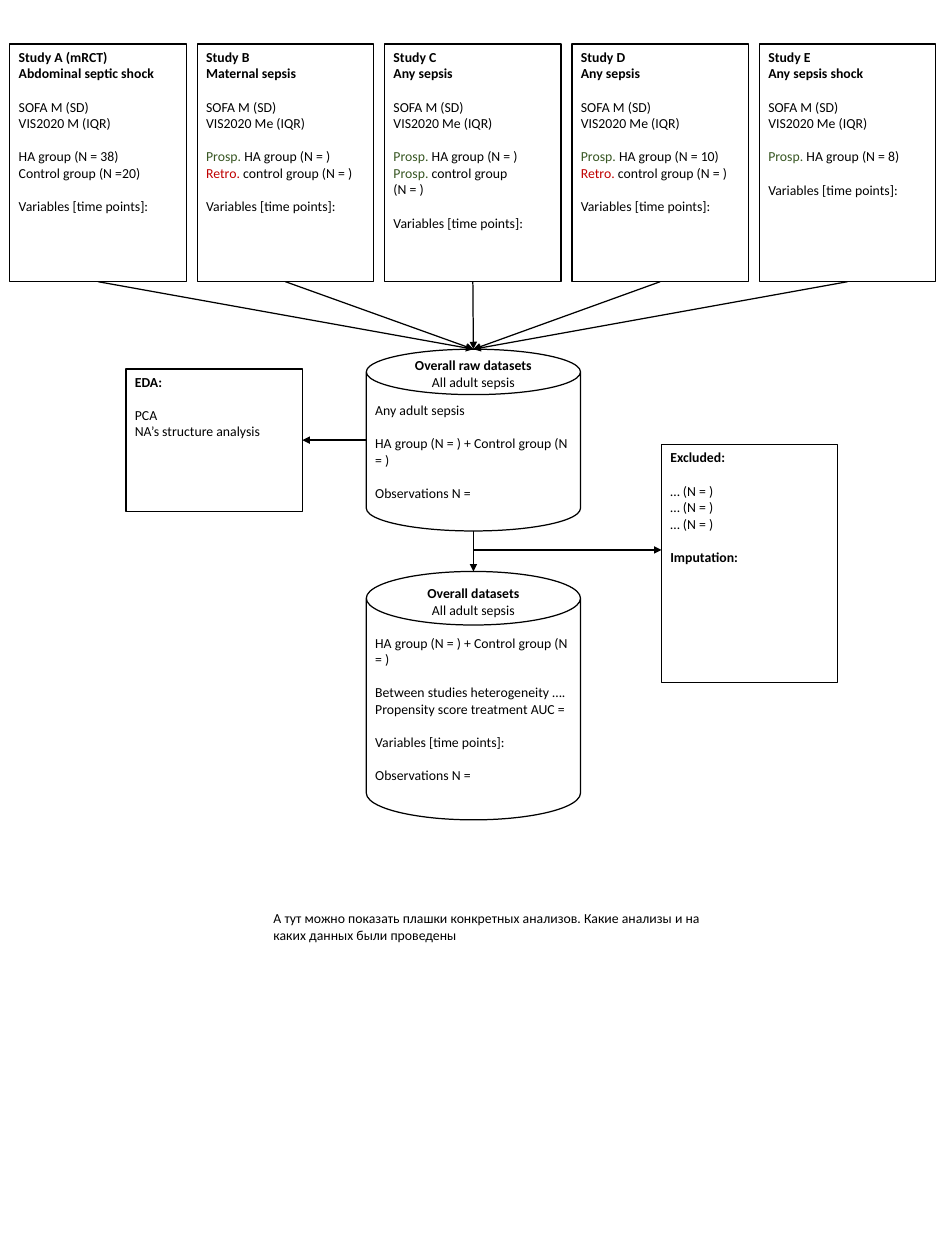
from dataclasses import dataclass

from lxml import etree
from pptx import Presentation
from pptx.dml.color import RGBColor
from pptx.enum.shapes import MSO_CONNECTOR as Connector, MSO_SHAPE as Shape
from pptx.enum.text import MSO_ANCHOR as Anchor, MSO_AUTO_SIZE as AutoSize, PP_ALIGN as Align
from pptx.oxml.ns import qn
from pptx.util import Inches, Pt

BLACK = RGBColor(0x00, 0x00, 0x00)
GREEN = RGBColor(0x38, 0x57, 0x23)
RED = RGBColor(0xC0, 0x00, 0x00)
LEAD_COLOURS = {"Prosp.": GREEN, "Retro.": RED}

COLUMNS, ROWS = 105, 140
BOX_WIDTH, BOX_HEIGHT = 19.6, 26.4
CAN_LEFT, CAN_WIDTH = 40.7, 23.8
CAN_CENTRE = CAN_LEFT + CAN_WIDTH / 2
STUDY_LEFT, STUDY_TOP, STUDY_STEP = 1.1, 4.9, 20.82
RAW_TOP, RAW_HEIGHT = 38.8, 20.2
FINAL_TOP, FINAL_HEIGHT = 63.5, 27.6
EDA_LEFT, EDA_TOP, EDA_HEIGHT = 14, 41, 15.8
EXCLUDED_LEFT, EXCLUDED_TOP = 73.5, 49.4


@dataclass
class Line:
    text: str
    bold: bool = False
    gap: bool = False
    lead: str = ""


class FlowChart:
    font_name = "Calibri"
    font_size = Pt(11)
    line_height = Pt(13.4)
    line_width = Pt(1)

    def __init__(self, presentation):
        self.slide = presentation.slides.add_slide(presentation.slide_layouts[6])
        self.column = presentation.slide_width / COLUMNS
        self.row = presentation.slide_height / ROWS

    def grid(self, *lengths):
        """Turn alternating columns and rows into slide lengths."""
        units = (self.column, self.row) * 2
        return [round(length * unit) for length, unit in zip(lengths, units)]

    def fill_text(self, frame, lines, align=Align.LEFT, anchor=Anchor.TOP):
        frame.word_wrap = True
        frame.vertical_anchor = anchor
        for index, line in enumerate(lines):
            paragraph = frame.add_paragraph() if index else frame.paragraphs[0]
            paragraph.alignment = align
            paragraph.font.name = self.font_name
            paragraph.font.size = self.font_size
            paragraph.font.bold = line.bold
            if line.gap:
                paragraph.space_before = self.line_height
            if line.lead:
                self.add_run(paragraph, line.lead, LEAD_COLOURS[line.lead])
            self.add_run(paragraph, line.text, BLACK)

    def add_run(self, paragraph, text, colour):
        run = paragraph.add_run()
        run.text = text
        run.font.color.rgb = colour

    def outline(self, shapes, kind, place, lines, anchor):
        shape = shapes.add_shape(kind, *self.grid(*place))
        shape.shadow.inherit = False
        shape.fill.background()
        shape.line.color.rgb = BLACK
        shape.line.width = self.line_width
        self.fill_text(shape.text_frame, lines, anchor=anchor)

    def box(self, left, top, height, lines):
        place = (left, top, BOX_WIDTH, height)
        self.outline(self.slide.shapes, Shape.RECTANGLE, place, lines, Anchor.TOP)

    def label(self, shapes, place, lines, align=Align.LEFT):
        frame = shapes.add_textbox(*self.grid(*place)).text_frame
        self.fill_text(frame, lines, align)
        frame.auto_size = AutoSize.SHAPE_TO_FIT_TEXT

    def dataset(self, top, height, label_top, title, lines):
        """Draw a can with a title on its lid."""
        shapes = self.slide.shapes.add_group_shape().shapes
        heading = [Line(title, bold=True), Line("All adult sepsis")]
        self.label(shapes, (CAN_CENTRE - 8.05, label_top, 16.1, 4.7), heading, Align.CENTER)
        self.outline(shapes, Shape.CAN, (CAN_LEFT, top, CAN_WIDTH, height), lines, Anchor.MIDDLE)

    def arrow(self, start, end):
        connector = self.slide.shapes.add_connector(
            Connector.STRAIGHT, *self.grid(*start, *end))
        connector.line.color.rgb = BLACK
        connector.line.width = self.line_width
        properties = connector._element.spPr
        etree.SubElement(properties.find(qn("a:ln")), qn("a:tailEnd"), type="triangle")
        etree.SubElement(properties, qn("a:effectLst"))


def study_lines(name, condition, measure, groups):
    return [
        Line(name, bold=True), Line(condition, bold=True),
        Line("SOFA M (SD)", gap=True), Line(f"VIS2020 {measure} (IQR)"),
        *groups, Line("Variables [time points]:", gap=True),
    ]


def main():
    presentation = Presentation()
    presentation.slide_width, presentation.slide_height = Inches(10.5), Inches(14)
    chart = FlowChart(presentation)

    treated = Line(" HA group (N = )", gap=True, lead="Prosp.")
    retro_control = Line(" control group (N = )", lead="Retro.")
    studies = [
        ("Study A (mRCT)", "Abdominal septic shock", "M",
         [Line("HA group (N = 38)", gap=True), Line("Control group (N =20)")]),
        ("Study B", "Maternal sepsis", "Me", [treated, retro_control]),
        ("Study C", "Any sepsis", "Me",
         [treated, Line(" control group", lead="Prosp."), Line("(N = )")]),
        ("Study D", "Any sepsis", "Me",
         [Line(" HA group (N = 10)", gap=True, lead="Prosp."), retro_control]),
        ("Study E", "Any sepsis shock", "Me",
         [Line(" HA group (N = 8)", gap=True, lead="Prosp.")]),
    ]
    for index, study in enumerate(studies):
        left = STUDY_LEFT + index * STUDY_STEP
        chart.box(left, STUDY_TOP, BOX_HEIGHT, study_lines(*study))
        chart.arrow((left + BOX_WIDTH / 2, STUDY_TOP + BOX_HEIGHT), (CAN_CENTRE, RAW_TOP))

    chart.arrow((CAN_CENTRE, RAW_TOP + RAW_HEIGHT), (CAN_CENTRE, FINAL_TOP))
    chart.arrow((CAN_CENTRE, 61.1), (EXCLUDED_LEFT, 61.1))
    chart.arrow((CAN_LEFT, 48.9), (EDA_LEFT + BOX_WIDTH, 48.9))

    both_groups = "НА group (N = ) + Control group (N = )"
    observations = Line("Observations N =", gap=True)
    chart.dataset(RAW_TOP, RAW_HEIGHT, 39.2, "Overall raw datasets", [
        Line("Any adult sepsis"), Line(both_groups, gap=True), observations])
    chart.dataset(FINAL_TOP, FINAL_HEIGHT, 64.5, "Overall datasets", [
        Line(both_groups),
        Line("Between studies heterogeneity ….", gap=True),
        Line("Propensity score treatment AUC ="),
        Line("Variables [time points]:", gap=True), observations])

    chart.box(EDA_LEFT, EDA_TOP, EDA_HEIGHT, [
        Line("EDA:", bold=True), Line("PCA", gap=True), Line("NA’s structure analysis")])
    chart.box(EXCLUDED_LEFT, EXCLUDED_TOP, BOX_HEIGHT, [
        Line("Excluded:", bold=True),
        *(Line("… (N = )", gap=first) for first in (True, False, False)),
        Line("Imputation:", bold=True, gap=True)])
    chart.label(chart.slide.shapes, (29.4, 100.6, 51.2, 4.7), [
        Line("А тут можно показать плашки конкретных анализов. "
             "Какие анализы и на каких данных были проведены")])
    presentation.save("out.pptx")


if __name__ == "__main__":
    main()
